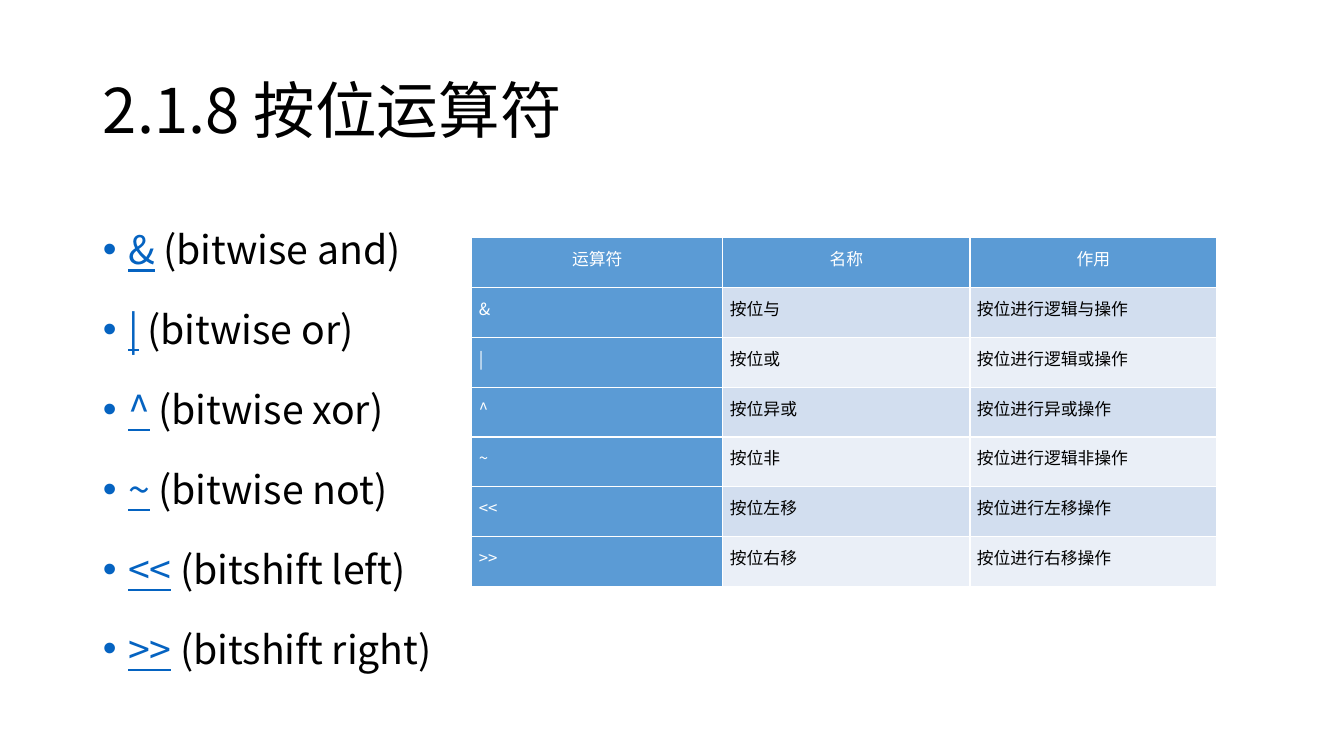
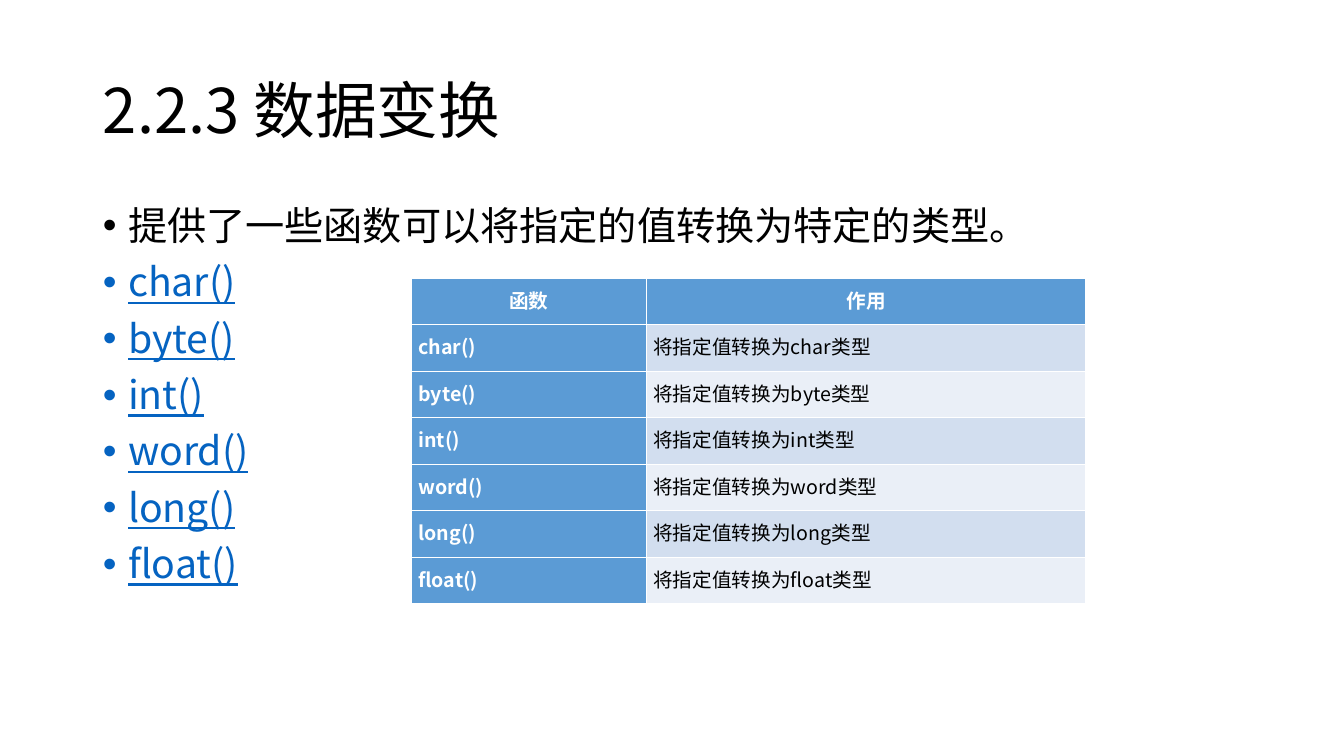
"""Build two lesson slides: bitwise operators and type conversion."""
from pptx import Presentation
from pptx.dml.color import RGBColor
from pptx.enum.text import MSO_ANCHOR, MSO_AUTO_SIZE, PP_ALIGN
from pptx.oxml import parse_xml
from pptx.oxml.ns import nsdecls
from pptx.util import Inches, Pt

SANS = "Noto Sans CJK SC"
SERIF = "Times New Roman"
BLACK = RGBColor(0x00, 0x00, 0x00)
WHITE = RGBColor(0xFF, 0xFF, 0xFF)
LINK = RGBColor(0x05, 0x63, 0xC1)
BLUE = RGBColor(0x5B, 0x9B, 0xD5)
BANDS = [RGBColor(0xEA, 0xEF, 0xF7), RGBColor(0xD2, 0xDE, 0xEF)]
NS = nsdecls("a")
NBSP = "\u00a0"

ops = [
    ("&", "bitwise and", "按位与", "按位进行逻辑与操作"),
    ("|", "bitwise or", "按位或", "按位进行逻辑或操作"),
    ("^", "bitwise xor", "按位异或", "按位进行异或操作"),
    ("~", "bitwise not", "按位非", "按位进行逻辑非操作"),
    ("<<", "bitshift left", "按位左移", "按位进行左移操作"),
    (">>", "bitshift right", "按位右移", "按位进行右移操作"),
]
types = ["char", "byte", "int", "word", "long", "float"]

pages = [
    {
        "title": "2.1.8 按位运算符",
        "list": [[(sign, SANS, LINK), (f"{NBSP}({note})", SANS, BLACK)]
                 for sign, note, name, use in ops],
        "lead": 1.4,
        "spot": (4.68, 2.36),
        "cols": [2.49, 2.45, 2.45],
        "high": 3.46,
        "rows": [("运算符", "名称", "作用")]
                + [(sign, name, use) for sign, note, name, use in ops],
        "size": 12, "line": 11, "bold": False,
    },
    {
        "title": "2.2.3 数据变换",
        "list": [[("提供了一些函数可以将指定的值转换为特定的类型。", SERIF, BLACK)]]
                + [[(f"{kind}()", SANS, LINK)] for kind in types],
        "lead": 0.9,
        "spot": (4.08, 2.76),
        "cols": [2.33, 4.36],
        "high": 3.23,
        "rows": [("函数", "作用")]
                + [(f"{kind}()", f"将指定值转换为{kind}类型") for kind in types],
        "size": 14, "line": 18, "bold": True,
    },
]


def style(run, size, color, face=SANS, bold=False):
    font = run.font
    font.size, font.bold, font.name = Pt(size), bold, face
    font.color.rgb = color
    font.underline = color == LINK
    latin = run._r.rPr.find("{*}latin")
    latin.addnext(parse_xml(f'<a:ea {NS} typeface="{SANS}"/>'))


def place(shape, top, height):
    shape.left, shape.top = Inches(0.92), Inches(top)
    shape.width, shape.height = Inches(11.5), Inches(height)
    shape.text_frame.auto_size = MSO_AUTO_SIZE.NONE
    shape.text_frame.word_wrap = True
    return shape.text_frame


deck = Presentation()
deck.slide_width, deck.slide_height = Inches(13.33), Inches(7.5)

for page in pages:
    slide = deck.slides.add_slide(deck.slide_layouts[1])

    title = place(slide.shapes.title, 0.4, 1.45)
    title.text = page["title"]
    title.vertical_anchor = MSO_ANCHOR.MIDDLE
    head = title.paragraphs[0]
    head.alignment, head.line_spacing = PP_ALIGN.LEFT, 0.9
    style(head.runs[0], 44, BLACK)

    body = place(slide.placeholders[1], 2, 4.76)
    for i, parts in enumerate(page["list"]):
        para = body.add_paragraph() if i else body.paragraphs[0]
        para.line_spacing, para.space_before = page["lead"], Pt(10)
        props = para._p.get_or_add_pPr()
        props.set("marL", str(Inches(0.25)))
        props.set("indent", str(Inches(-0.25)))
        for xml in (f'<a:buClr {NS}><a:srgbClr val="{parts[0][2]}"/></a:buClr>',
                    f'<a:buFont {NS} typeface="Arial"/>',
                    f'<a:buChar {NS} char="•"/>'):
            props.append(parse_xml(xml))
        for text, face, color in parts:
            run = para.add_run()
            run.text = text
            style(run, 28, color, face)

    rows, cols = page["rows"], page["cols"]
    left, top = page["spot"]
    grid = slide.shapes.add_table(
        len(rows), len(cols), Inches(left), Inches(top),
        Inches(sum(cols)), Inches(page["high"])).table
    for col, width in zip(grid.columns, cols):
        col.width = Inches(width)
    for r, row in enumerate(rows):
        grid.rows[r].height = Inches(page["high"] / len(rows))
        for c, text in enumerate(row):
            key = r == 0 or c == 0
            cell = grid.cell(r, c)
            cell.vertical_anchor = MSO_ANCHOR.MIDDLE
            cell.margin_left = cell.margin_right = Inches(0.07)
            cell.margin_top = cell.margin_bottom = 0
            cell.fill.solid()
            cell.fill.fore_color.rgb = BLUE if key else BANDS[r % 2]
            for n, side in enumerate("LRTB"):
                cell._tc.tcPr.insert(n, parse_xml(
                    f'<a:ln{side} {NS} w="{Pt(1)}"><a:solidFill>'
                    f'<a:srgbClr val="{WHITE}"/></a:solidFill></a:ln{side}>'))
            cell.text_frame.text = text
            para = cell.text_frame.paragraphs[0]
            para.alignment = PP_ALIGN.LEFT if r else PP_ALIGN.CENTER
            para.line_spacing = Pt(page["line"])
            style(para.runs[0], page["size"], WHITE if key else BLACK,
                  bold=key and page["bold"])

deck.save("out.pptx")
